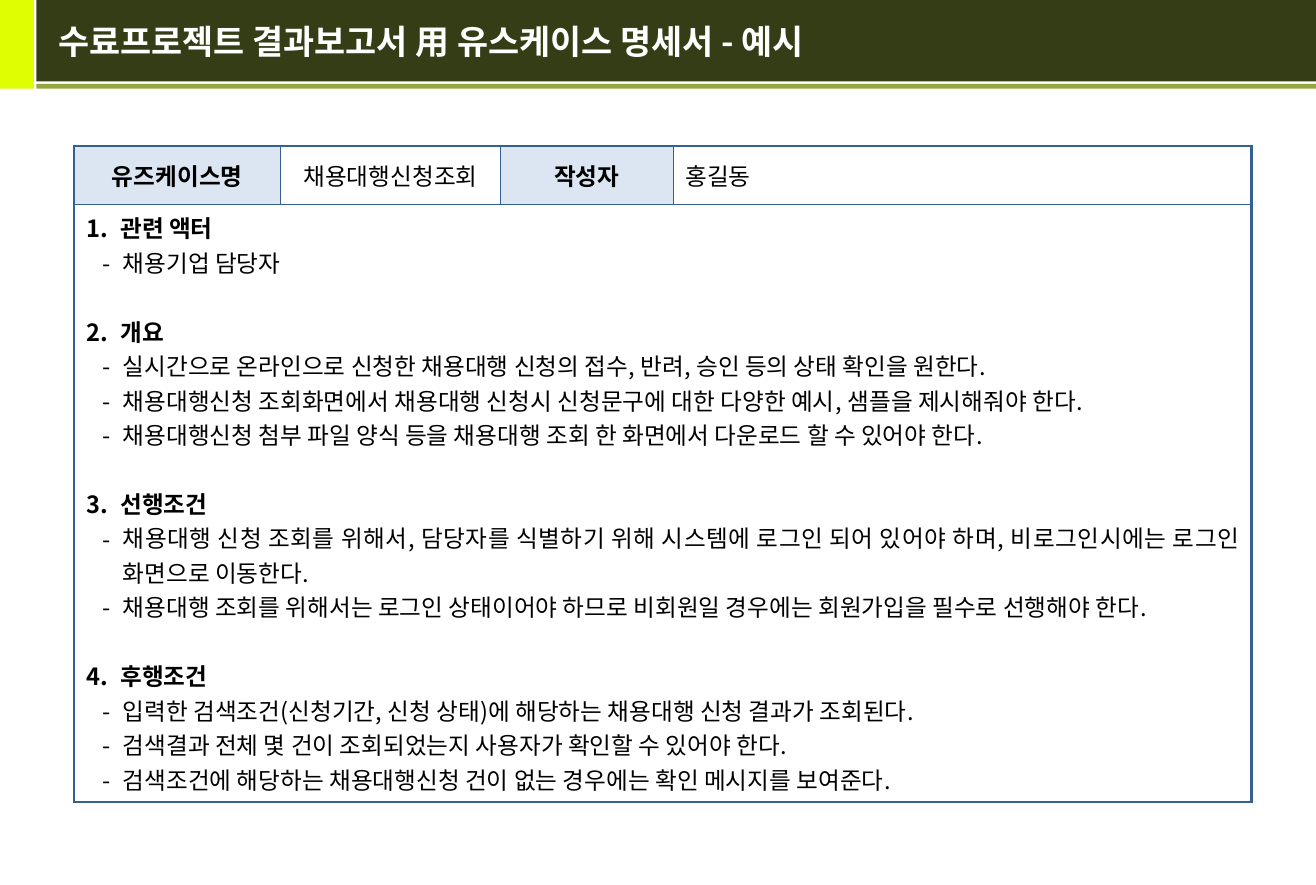
import dataclasses
import typing

import lxml.etree
import pptx
import pptx.dml.color
import pptx.enum.shapes
import pptx.enum.text
import pptx.oxml.ns
import pptx.slide
import pptx.table
import pptx.util

Inches = pptx.util.Inches
Pt = pptx.util.Pt
Align = pptx.enum.text.PP_ALIGN
Anchor = pptx.enum.text.MSO_ANCHOR
qn = pptx.oxml.ns.qn


@dataclasses.dataclass(frozen=True)
class Theme:
    font: str = "Noto Sans CJK KR"
    lime: str = "DEFF02"
    dark: str = "353D17"
    olive: str = "93A73F"
    white: str = "FFFFFF"
    black: str = "000000"
    tint: str = "DCE6F2"
    edge: str = "376092"
    title: float = 20
    text: float = 14
    gap: float = 20.4
    thick: float = 1.5
    thin: float = 0.75


@dataclasses.dataclass(frozen=True)
class Bar:
    left: float
    top: float
    width: float
    height: float
    color: str


@dataclasses.dataclass(frozen=True)
class Field:
    text: str
    width: float
    label: bool = False
    align: Align = Align.CENTER


@dataclasses.dataclass(frozen=True)
class Part:
    head: str
    items: tuple[str, ...]


THEME = Theme()
BARS = (
    Bar(0, 0, 0.28, 0.73, THEME.lime),
    Bar(0.3, 0, 10.53, 0.67, THEME.dark),
    Bar(0.3, 0.69, 10.53, 0.04, THEME.olive),
)
FIELDS = (
    Field("유즈케이스명", 1.7, True),
    Field("채용대행신청조회", 1.81),
    Field("작성자", 1.42, True),
    Field("홍길동", 4.76, align=Align.LEFT),
)
PARTS = (
    Part("관련 액터", ("채용기업 담당자",)),
    Part("개요", (
        "실시간으로 온라인으로 신청한 채용대행 신청의 접수, 반려, 승인 등의 상태 확인을 원한다.",
        "채용대행신청 조회화면에서 채용대행 신청시 신청문구에 대한 다양한 예시, 샘플을 제시해줘야 한다.",
        "채용대행신청 첨부 파일 양식 등을 채용대행 조회 한 화면에서 다운로드 할 수 있어야 한다.",
    )),
    Part("선행조건", (
        "채용대행 신청 조회를 위해서, 담당자를 식별하기 위해 시스템에 로그인 되어 있어야 하며, "
        "비로그인시에는 로그인 화면으로 이동한다.",
        "채용대행 조회를 위해서는 로그인 상태이어야 하므로 비회원일 경우에는 회원가입을 필수로 선행해야 한다.",
    )),
    Part("후행조건", (
        "입력한 검색조건(신청기간, 신청 상태)에 해당하는 채용대행 신청 결과가 조회된다.",
        "검색결과 전체 몇 건이 조회되었는지 사용자가 확인할 수 있어야 한다.",
        "검색조건에 해당하는 채용대행신청 건이 없는 경우에는 확인 메시지를 보여준다.",
    )),
)


def tone(color: str) -> pptx.dml.color.RGBColor:
    return pptx.dml.color.RGBColor.from_string(color)


def add_run(para: typing.Any, text: str, size: float, color: str, bold: bool) -> None:
    run = para.add_run()
    run.text = text
    font = run.font
    font.name, font.size, font.bold = THEME.font, Pt(size), bold
    font.color.rgb = tone(color)
    east = lxml.etree.Element(qn("a:ea"), typeface=THEME.font)
    run.font._element.find(qn("a:latin")).addnext(east)


def add_mark(para: typing.Any, kind: str, left: float, hang: float, **marks: str) -> None:
    props = para._p.get_or_add_pPr()
    props.set("marL", str(Inches(left)))
    props.set("indent", str(-Inches(hang)))
    lxml.etree.SubElement(props, qn("a:buFont"), typeface=THEME.font)
    lxml.etree.SubElement(props, qn(kind), **marks)


def add_bar(slide: pptx.slide.Slide, bar: Bar) -> None:
    shape = slide.shapes.add_shape(
        pptx.enum.shapes.MSO_SHAPE.RECTANGLE,
        Inches(bar.left), Inches(bar.top), Inches(bar.width), Inches(bar.height))
    shape.shadow.inherit = False
    shape.fill.solid()
    shape.fill.fore_color.rgb = tone(bar.color)
    shape.line.fill.background()


def add_title(slide: pptx.slide.Slide) -> None:
    title = slide.shapes.title
    title.left, title.top = Inches(0.38), Inches(0)
    title.width, title.height = Inches(10.32), Inches(0.68)
    title.text_frame.vertical_anchor = Anchor.MIDDLE
    para = title.text_frame.paragraphs[0]
    para.alignment = Align.LEFT
    add_run(para, "수료프로젝트 결과보고서 用 유스케이스 명세서 - 예시",
            THEME.title, THEME.white, True)
    title.element.getparent().append(title.element)


def style_cell(cell: pptx.table._Cell, row: int, col: int, color: str) -> None:
    outer = {
        "L": row == 1 or col == 0,
        "R": row == 1 or col == len(FIELDS) - 1,
        "T": row == 0,
        "B": row == 1,
    }
    props = cell._tc.get_or_add_tcPr()
    for side, thick in outer.items():
        width = THEME.thick if thick else THEME.thin
        line = lxml.etree.SubElement(props, qn(f"a:ln{side}"), w=str(Pt(width)))
        fill = lxml.etree.SubElement(line, qn("a:solidFill"))
        lxml.etree.SubElement(fill, qn("a:srgbClr"), val=THEME.edge)
    cell.fill.solid()
    cell.fill.fore_color.rgb = tone(color)
    cell.vertical_anchor = Anchor.MIDDLE


def fill_parts(cell: pptx.table._Cell) -> None:
    frame = cell.text_frame
    for count, part in enumerate(PARTS, 1):
        head = frame.paragraphs[0] if count == 1 else frame.add_paragraph()
        head.alignment = Align.JUSTIFY
        head.space_before = Pt(0 if count == 1 else THEME.gap)
        add_mark(head, "a:buAutoNum", 0.28, 0.28, type="arabicPeriod", startAt=str(count))
        add_run(head, part.head, THEME.text, THEME.black, True)
        for item in part.items:
            para = frame.add_paragraph()
            para.alignment = Align.JUSTIFY
            add_mark(para, "a:buChar", 0.3, 0.17, char="-")
            add_run(para, item, THEME.text, THEME.black, False)


def add_form(slide: pptx.slide.Slide) -> None:
    table = slide.shapes.add_table(
        2, len(FIELDS), Inches(0.61), Inches(1.2), Inches(9.69), Inches(5.36)).table
    table.first_row = table.horz_banding = False
    table.rows[0].height, table.rows[1].height = Inches(0.48), Inches(4.88)
    for col, field in enumerate(FIELDS):
        table.columns[col].width = Inches(field.width)
        cell = table.cell(0, col)
        style_cell(cell, 0, col, THEME.tint if field.label else THEME.white)
        style_cell(table.cell(1, col), 1, col, THEME.white)
        para = cell.text_frame.paragraphs[0]
        para.alignment = field.align
        add_run(para, field.text, THEME.text, THEME.black, field.label)
    body = table.cell(1, 0)
    body.merge(table.cell(1, len(FIELDS) - 1))
    fill_parts(body)


def main() -> None:
    deck = pptx.Presentation()
    deck.slide_width, deck.slide_height = Inches(10.83), Inches(7.28)
    slide = deck.slides.add_slide(deck.slide_layouts[5])
    for bar in BARS:
        add_bar(slide, bar)
    add_title(slide)
    add_form(slide)
    deck.save("out.pptx")


if __name__ == "__main__":
    main()
